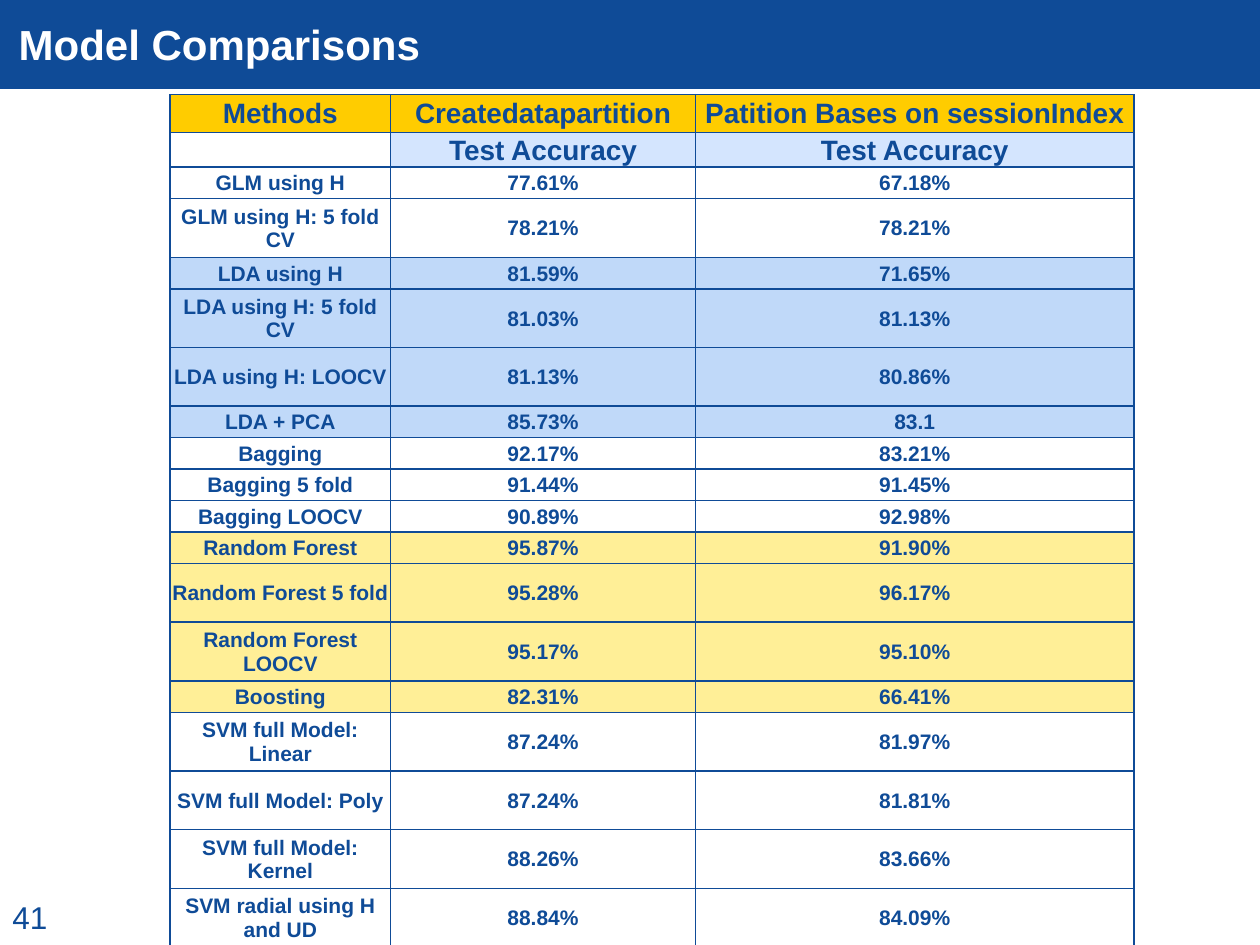
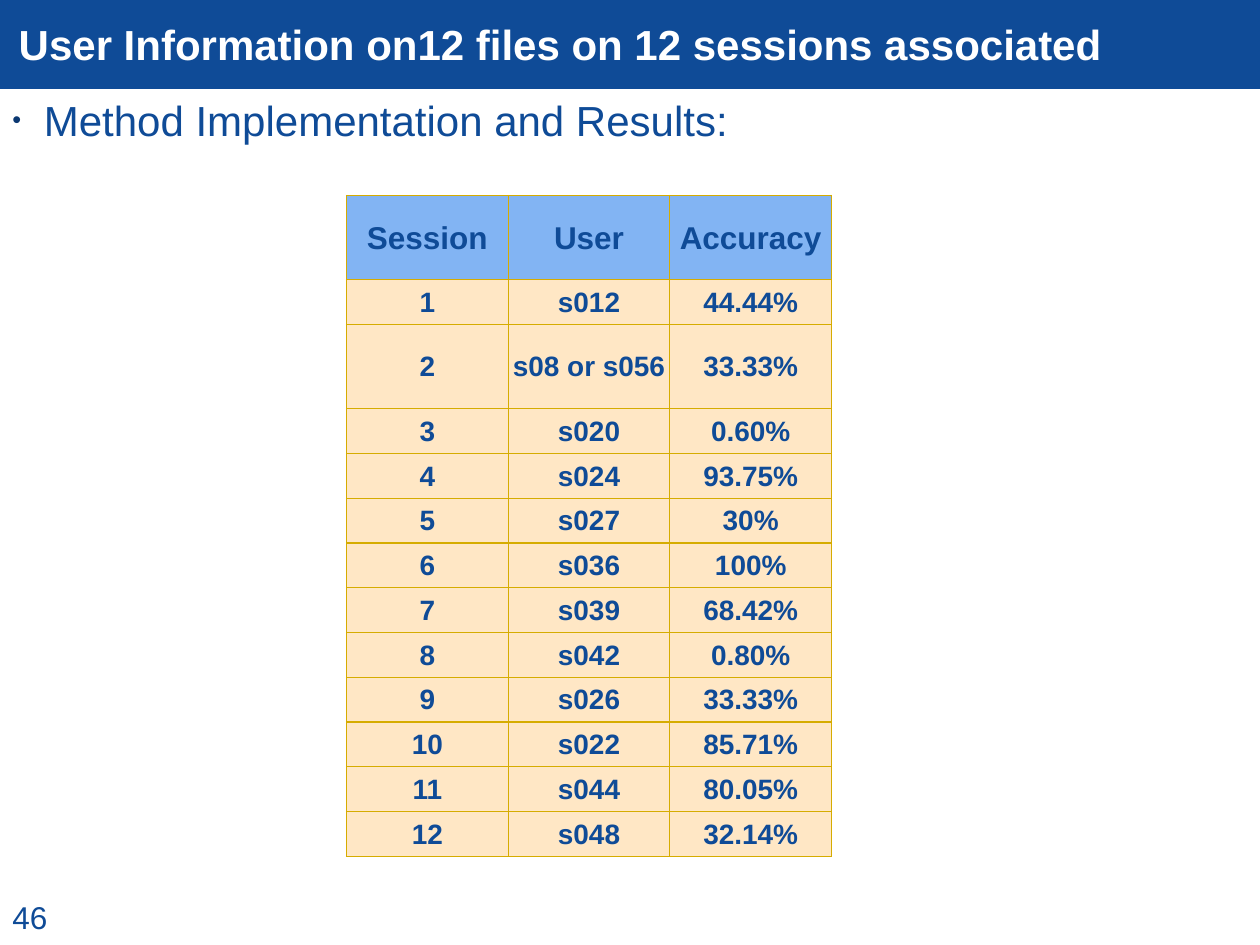
from lxml import etree
from pptx import Presentation
from pptx.dml.color import RGBColor
from pptx.enum.shapes import MSO_SHAPE
from pptx.enum.text import MSO_ANCHOR, PP_ALIGN
from pptx.oxml.ns import qn
from pptx.util import Inches, Pt

RECT = MSO_SHAPE.RECTANGLE
MIDDLE = MSO_ANCHOR.MIDDLE
TOP = MSO_ANCHOR.TOP
CENTER = PP_ALIGN.CENTER
LEFT = PP_ALIGN.LEFT
FONT = "Arial"
COLORS = {
    "navy": "0F4B97", "dark": "0B3871", "white": "FFFFFF",
    "gold": "FFCC00", "lemon": "FFEF97", "ice": "D4E5FE",
    "pale": "C0D9F9", "sky": "82B4F3", "sand": "FFE7C5", "ochre": "D6AC00",
}

MODELS = [
    ("white", [
        ("GLM using H", "77.61%", "67.18%"),
        ("GLM using H: 5 fold CV", "78.21%", "78.21%"),
    ]),
    ("pale", [
        ("LDA using H", "81.59%", "71.65%"),
        ("LDA using H: 5 fold CV", "81.03%", "81.13%"),
        ("LDA using H: LOOCV", "81.13%", "80.86%"),
        ("LDA + PCA", "85.73%", "83.1"),
    ]),
    ("white", [
        ("Bagging", "92.17%", "83.21%"),
        ("Bagging 5 fold", "91.44%", "91.45%"),
        ("Bagging LOOCV", "90.89%", "92.98%"),
    ]),
    ("lemon", [
        ("Random Forest", "95.87%", "91.90%"),
        ("Random Forest 5 fold", "95.28%", "96.17%"),
        ("Random Forest LOOCV", "95.17%", "95.10%"),
        ("Boosting", "82.31%", "66.41%"),
    ]),
    ("white", [
        ("SVM full Model: Linear", "87.24%", "81.97%"),
        ("SVM full Model: Poly", "87.24%", "81.81%"),
        ("SVM full Model: Kernel", "88.26%", "83.66%"),
        ("SVM radial using H and UD", "88.84%", "84.09%"),
    ]),
]

USERS = [
    ("s012", "44.44%"), ("s08 or s056", "33.33%"), ("s020", "0.60%"),
    ("s024", "93.75%"), ("s027", "30%"), ("s036", "100%"),
    ("s039", "68.42%"), ("s042", "0.80%"), ("s026", "33.33%"),
    ("s022", "85.71%"), ("s044", "80.05%"), ("s048", "32.14%"),
]


def rgb(name):
    return RGBColor.from_string(COLORS[name])


def write(para, text, size, color="navy", bold=False, align=LEFT):
    para.alignment = align
    run = para.add_run()
    run.text = text
    font = run.font
    font.name, font.size, font.bold = FONT, Pt(size), bold
    font.color.rgb = rgb(color)


def label(slide, box, text, size, color="navy", bold=False, anchor=TOP):
    frame = slide.shapes.add_textbox(*map(Inches, box)).text_frame
    frame.word_wrap = True
    frame.vertical_anchor = anchor
    para = frame.paragraphs[0]
    write(para, text, size, color, bold)
    return para


def bullet(slide, box, text):
    para = label(slide, box, text, 24)
    para.space_before = Pt(5)
    props = para._p.get_or_add_pPr()
    props.set("marL", str(Inches(0.25)))
    props.set("indent", str(Inches(-0.25)))
    tint = etree.SubElement(props, qn("a:buClr"))
    etree.SubElement(tint, qn("a:srgbClr"), val=COLORS["dark"])
    etree.SubElement(props, qn("a:buSzPct"), val="60000")
    etree.SubElement(props, qn("a:buFont"), typeface=FONT)
    etree.SubElement(props, qn("a:buChar"), char="•")


def frame(deck, title, number):
    slide = deck.slides.add_slide(deck.slide_layouts[6])
    band = slide.shapes.add_shape(RECT, 0, 0, deck.slide_width, Inches(0.7))
    band.shadow.inherit = False
    band.fill.solid()
    band.fill.fore_color.rgb = rgb("navy")
    band.line.color.rgb = rgb("navy")
    band.line.width = Pt(0.75)
    label(slide, (0, 7.08, 0.55, 0.5), number, 18)
    label(slide, (0.05, 0, 9.95, 0.7), title, 24, "white", True, MIDDLE)
    return slide


def border(cell, color, width):
    props = cell._tc.get_or_add_tcPr()
    for side in ("lnL", "lnR", "lnT", "lnB"):
        line = etree.SubElement(props, qn("a:" + side), w=str(Pt(width)))
        fill = etree.SubElement(line, qn("a:solidFill"))
        etree.SubElement(fill, qn("a:srgbClr"), val=COLORS[color])


def fill_cell(cell, text, size, fill, edge, width):
    border(cell, edge, width)
    cell.fill.solid()
    cell.fill.fore_color.rgb = rgb(fill)
    cell.vertical_anchor = MIDDLE
    cell.margin_left = cell.margin_right = cell.margin_top = Inches(0.01)
    cell.margin_bottom = 0
    para = cell.text_frame.paragraphs[0]
    if text:
        write(para, text, size, bold=True, align=CENTER)
    else:
        etree.SubElement(para._p, qn("a:endParaRPr"), sz=str(size * 100))


def grid(slide, box, cols, rows, edge, width):
    shape = slide.shapes.add_table(len(rows), len(cols), *map(Inches, box))
    table = shape.table
    table.first_row = table.horz_banding = False
    for col, wide in zip(table.columns, cols):
        col.width = Inches(wide)
    fixed = [high for high, _, _, _ in rows if high]
    rest = (box[3] - sum(fixed)) / (len(rows) - len(fixed))
    for row, (high, size, fills, texts) in zip(table.rows, rows):
        row.height = Inches(high or rest)
        for cell, fill, text in zip(row.cells, fills, texts):
            fill_cell(cell, text, size, fill, edge, width)


def compare(deck):
    slide = frame(deck, "Model Comparisons", "41")
    heads = ("Methods", "Createdatapartition",
             "Patition Bases on sessionIndex")
    tests = ("", "Test Accuracy", "Test Accuracy")
    rows = [(0.3, 16, ["gold"] * 3, heads),
            (0.25, 16, ["white", "ice", "ice"], tests)]
    for fill, group in MODELS:
        for texts in group:
            high = 0.25 if len(texts[0]) < 15 else None
            rows.append((high, 12, [fill] * 3, texts))
    grid(slide, (1.35, 0.75, 7.65, 6.74), (1.75, 2.42, 3.48),
         rows, "navy", 1)


def sessions(deck):
    slide = frame(
        deck, "User Information on12 files on 12 sessions associated", "46")
    bullet(slide, (0, 0.7, 9.8, 5.91), "Method Implementation and Results:")
    rows = [(0.67, 18, ["sky"] * 3, ("Session", "User", "Accuracy"))]
    for number, (user, score) in enumerate(USERS, 1):
        high = 0.67 if " or " in user else None
        rows.append((high, 16, ["sand"] * 3, (str(number), user, score)))
    box = (2.75, 1.55, 3.85, 5.25)
    grid(slide, box, [box[2] / 3] * 3, rows, "ochre", 0.75)


def main():
    deck = Presentation()
    deck.slide_width, deck.slide_height = Inches(10), Inches(7.5)
    compare(deck)
    sessions(deck)
    deck.save("out.pptx")


if __name__ == "__main__":
    main()
